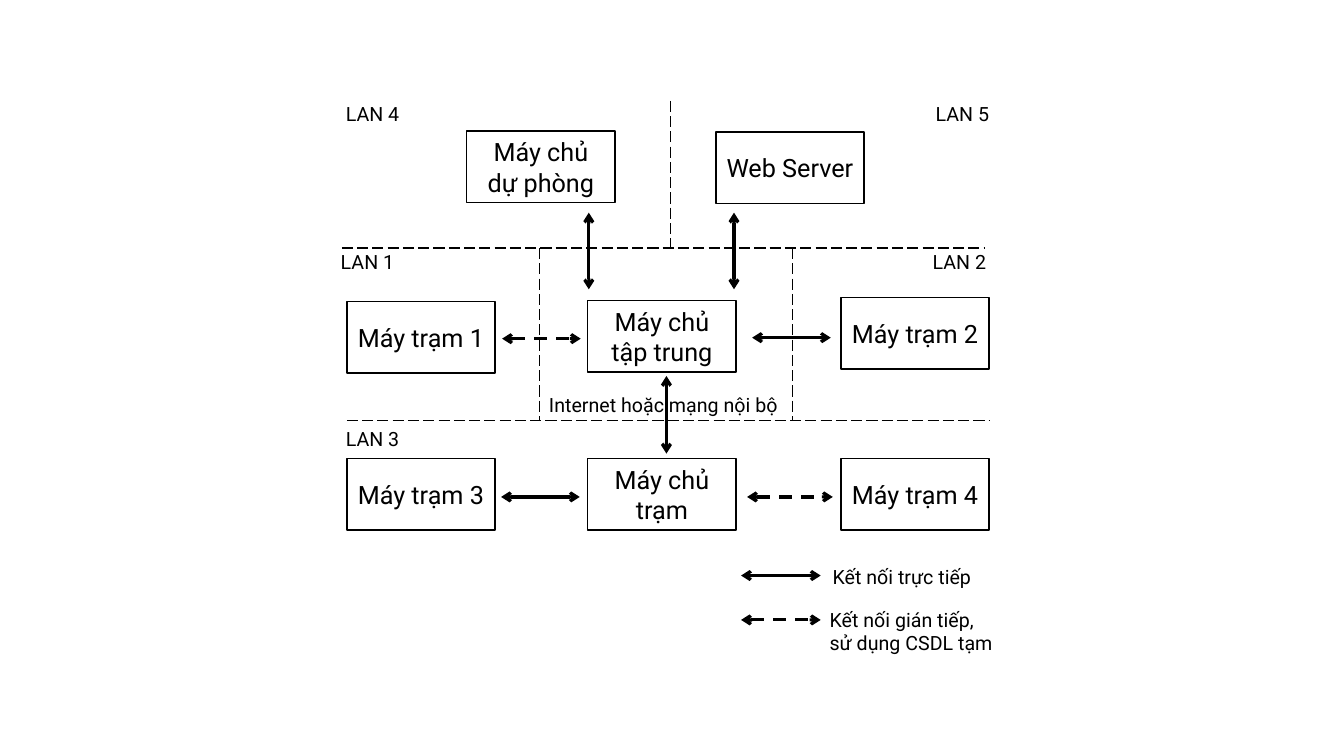
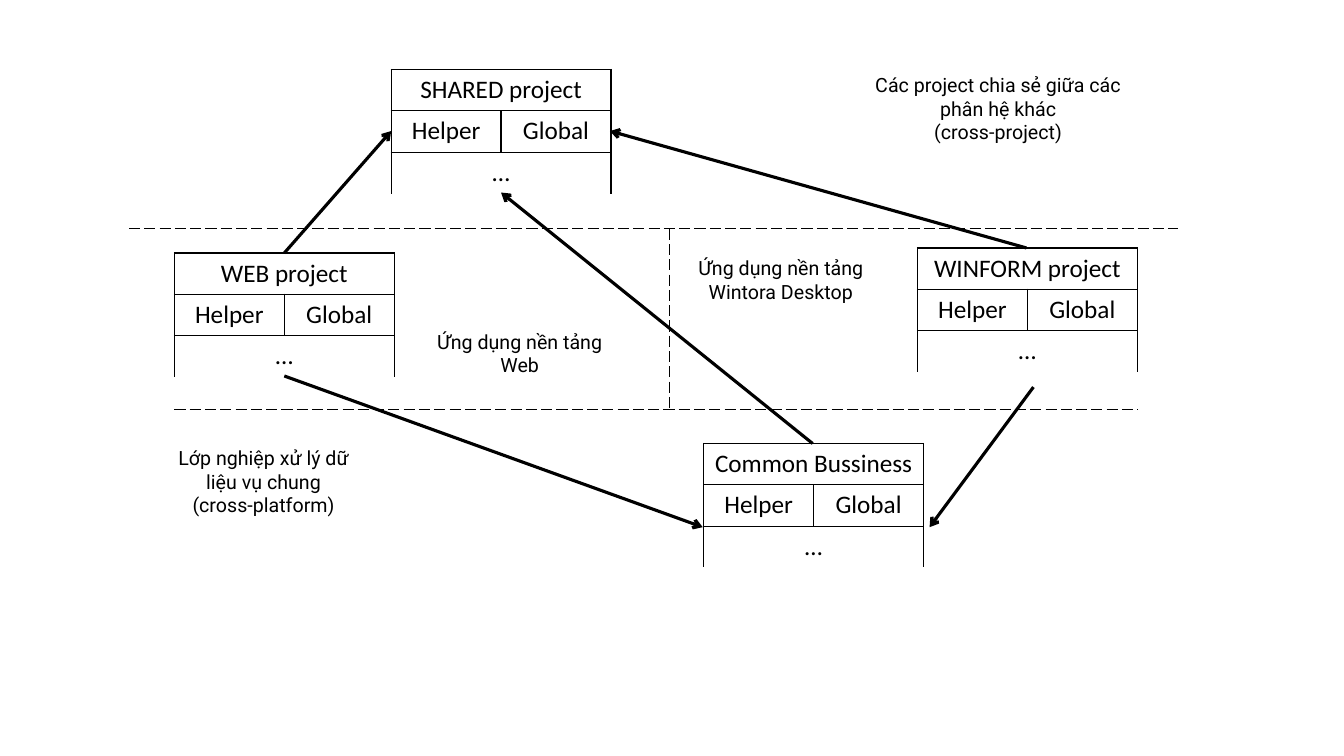
from dataclasses import dataclass

from lxml import etree
from pptx import Presentation
from pptx.dml.color import RGBColor
from pptx.enum.dml import MSO_LINE
from pptx.enum.shapes import MSO_CONNECTOR, MSO_SHAPE
from pptx.enum.text import MSO_ANCHOR, PP_ALIGN
from pptx.oxml.ns import qn
from pptx.slide import Slide
from pptx.text.text import TextFrame
from pptx.util import Inches, Pt

INK = "000000"
SANS, GRID = "Roboto", "Calibri"
BIG, SMALL = 18, 14
THIN, THICK = 1, 2.25
LEFT, CENTER = PP_ALIGN.LEFT, PP_ALIGN.CENTER
MIDDLE = MSO_ANCHOR.MIDDLE
LONG, DASH = MSO_LINE.LONG_DASH, MSO_LINE.DASH
RECT, STRAIGHT = MSO_SHAPE.RECTANGLE, MSO_CONNECTOR.STRAIGHT

NODE_W, NODE_H = 1.47, 0.71
COL_W, ROW_H = 1.09, 0.41
LAN_W, NOTE_H, LAN_H = 0.95, 0.75, 0.54


@dataclass
class Node:
    """A boxed machine."""
    text: str
    x: float
    y: float


@dataclass
class Note:
    """A free label; each line of text is a paragraph."""
    text: str
    x: float
    y: float
    w: float = LAN_W
    h: float = LAN_H
    align: PP_ALIGN = CENTER


@dataclass
class Link:
    """A thick arrow that ends at (x2, y2)."""
    x1: float
    y1: float
    x2: float
    y2: float
    both: bool = False
    dash: bool = False


@dataclass
class Rule:
    """A thin dashed border between zones."""
    x1: float
    y1: float
    x2: float
    y2: float


@dataclass
class Module:
    """A project table, placed by its top left corner."""
    title: str
    x: float
    y: float


def color(code: str) -> RGBColor:
    """Turn a hex string into a colour."""
    return RGBColor.from_string(code)


def put_text(frame: TextFrame, text: str, *, size: float = SMALL,
             font: str = SANS, align: PP_ALIGN = CENTER) -> None:
    """Fill a frame with one paragraph per line of text."""
    frame.word_wrap = True
    for i, line in enumerate(text.split("\n")):
        para = frame.add_paragraph() if i else frame.paragraphs[0]
        para.alignment = align
        run = para.add_run()
        run.text = line
        run.font.size, run.font.name = Pt(size), font
        run.font.color.rgb = color(INK)


def draw_node(slide: Slide, node: Node) -> None:
    """Draw an outlined box with a centred name."""
    box = slide.shapes.add_shape(RECT, Inches(node.x), Inches(node.y),
                                 Inches(NODE_W), Inches(NODE_H))
    box.shadow.inherit = False
    box.fill.background()
    box.line.color.rgb = color(INK)
    box.line.width = Pt(THIN)
    box.text_frame.vertical_anchor = MIDDLE
    put_text(box.text_frame, node.text, size=BIG)


def draw_note(slide: Slide, note: Note) -> None:
    """Draw a label without an outline."""
    box = slide.shapes.add_textbox(Inches(note.x), Inches(note.y),
                                   Inches(note.w), Inches(note.h))
    box.text_frame.vertical_anchor = MIDDLE
    put_text(box.text_frame, note.text, align=note.align)


def draw_line(slide: Slide, line: Link | Rule, width: float,
              dash: MSO_LINE | None, ends: tuple[str, ...] = ()) -> None:
    """Draw a straight line with the given arrow ends."""
    wire = slide.shapes.add_connector(STRAIGHT, Inches(line.x1), Inches(line.y1),
                                      Inches(line.x2), Inches(line.y2))
    wire.line.color.rgb = color(INK)
    wire.line.width = Pt(width)
    if dash is not None:
        wire.line.dash_style = dash
    props = wire.line._get_or_add_ln()
    for end in ends:
        etree.SubElement(props, qn(end), type="arrow")
    etree.SubElement(wire._element.spPr, qn("a:effectLst"))


def draw_rule(slide: Slide, rule: Rule) -> None:
    """Draw a zone border."""
    draw_line(slide, rule, THIN, LONG)


def draw_link(slide: Slide, link: Link) -> None:
    """Draw an arrow, single or double."""
    ends = ("a:headEnd", "a:tailEnd") if link.both else ("a:tailEnd",)
    draw_line(slide, link, THICK, DASH if link.dash else None, ends)


def draw_module(slide: Slide, mod: Module) -> None:
    """Draw a project table that is open at the bottom."""
    rows = ((mod.title, ""), ("Helper", "Global"), ("…", ""))
    table = slide.shapes.add_table(len(rows), 2, Inches(mod.x), Inches(mod.y),
                                   Inches(2 * COL_W), Inches(len(rows) * ROW_H)).table
    table.first_row = table.horz_banding = False
    for col in table.columns:
        col.width = Inches(COL_W)
    for r, names in enumerate(rows):
        table.rows[r].height = Inches(ROW_H)
        if not names[1]:
            table.cell(r, 0).merge(table.cell(r, 1))
        for c, name in enumerate(names):
            cell = table.cell(r, c)
            props = cell._tc.get_or_add_tcPr()
            for side in "LRTB":
                edge = etree.SubElement(props, qn(f"a:ln{side}"), w=str(Pt(THIN)))
                if side == "B" and r == len(rows) - 1:
                    etree.SubElement(edge, qn("a:noFill"))
                else:
                    fill = etree.SubElement(edge, qn("a:solidFill"))
                    etree.SubElement(fill, qn("a:srgbClr"), val=INK)
            cell.fill.background()
            if name:
                put_text(cell.text_frame, name, size=BIG, font=GRID)


DRAW = {Node: draw_node, Note: draw_note, Rule: draw_rule,
        Link: draw_link, Module: draw_module}

WEST, MID, EAST = 3.44, 5.83, 8.34
LOW = 4.55
NETWORK = (
    Node("Máy chủ tập trung", MID, 2.98),
    Node("Máy trạm 1", WEST, 2.99),
    Node("Máy trạm 2", EAST, 2.95),
    Node("Máy chủ trạm", MID, LOW),
    Node("Máy trạm 3", WEST, LOW),
    Node("Máy trạm 4", EAST, LOW),
    Node("Máy chủ dự phòng", 4.63, 1.3),
    Node("Web Server", 7.1, 1.31),
    Rule(WEST, 4.17, 9.81, 4.17),
    Rule(5.35, 2.46, 5.35, 4.17),
    Rule(7.86, 2.46, 7.86, 4.17),
    Rule(3.39, 2.46, 9.76, 2.46),
    Rule(6.65, 1, 6.65, 2.49),
    Note("LAN 4", 3.22, 0.86),
    Note("LAN 5", 9.07, 0.86),
    Note("LAN 1", 3.17, 2.33),
    Note("LAN 2", 9.04, 2.33),
    Note("LAN 3", 3.22, 4.08),
    Note("Internet hoặc mạng nội bộ", 5.3, 3.74, 2.56),
    Link(4.98, 3.36, 5.76, 3.36, both=True, dash=True),
    Link(6.61, 3.73, 6.61, 4.5, both=True),
    Link(7.41, 4.93, 8.26, 4.93, both=True, dash=True),
    Link(5.84, 2.11, 5.84, 2.87, both=True),
    Link(7.28, 2.11, 7.28, 2.87, both=True),
    Link(7.46, 3.35, 8.24, 3.35, both=True),
    Link(4.97, 4.93, 5.75, 4.93, both=True),
    Link(7.35, 5.71, 8.14, 5.71, both=True),
    Note("Kết nối trực tiếp", 8.14, 5.45, 1.61),
    Link(7.35, 6.15, 8.14, 6.15, both=True, dash=True),
    Note("Kết nối gián tiếp,\nsử dụng CSDL tạm", 8.13, 5.99, 2.14, align=LEFT),
)

PROJECTS = (
    Link(8.06, 4.4, 4.97, 1.91),
    Module("SHARED project", 3.88, 0.69),
    Module("Common Bussiness", 6.98, 4.4),
    Module("WEB project", 1.73, 2.51),
    Module("WINFORM project", 9.1, 2.46),
    Link(2.82, 2.51, 3.88, 1.3),
    Link(10.18, 2.46, 6.05, 1.3),
    Link(10.25, 3.84, 9.22, 5.23),
    Link(2.82, 3.73, 6.97, 5.23),
    Rule(1.28, 2.27, 11.68, 2.27),
    Rule(1.73, 4.06, 11.29, 4.06),
    Rule(6.64, 2.27, 6.64, 4.06),
    Note("Các project chia sẻ giữa các phân hệ khác\n(cross-project)",
         8.51, 0.7, 2.78, NOTE_H),
    Note("Lớp nghiệp xử lý dữ liệu vụ chung\n(cross-platform)",
         1.58, 4.4, 2.07, NOTE_H),
    Note("Ứng dụng nền tảng Wintora Desktop", 6.71, 2.4, 2.07, NOTE_H),
    Note("Ứng dụng nền tảng Web", 4.12, 3.13, 2.07, NOTE_H),
)


def main() -> None:
    """Build both slides and save the deck."""
    deck = Presentation()
    deck.slide_width, deck.slide_height = Inches(13.33), Inches(7.5)
    for parts in (NETWORK, PROJECTS):
        slide = deck.slides.add_slide(deck.slide_layouts[6])
        for part in parts:
            DRAW[type(part)](slide, part)
    deck.save("out.pptx")


main()
